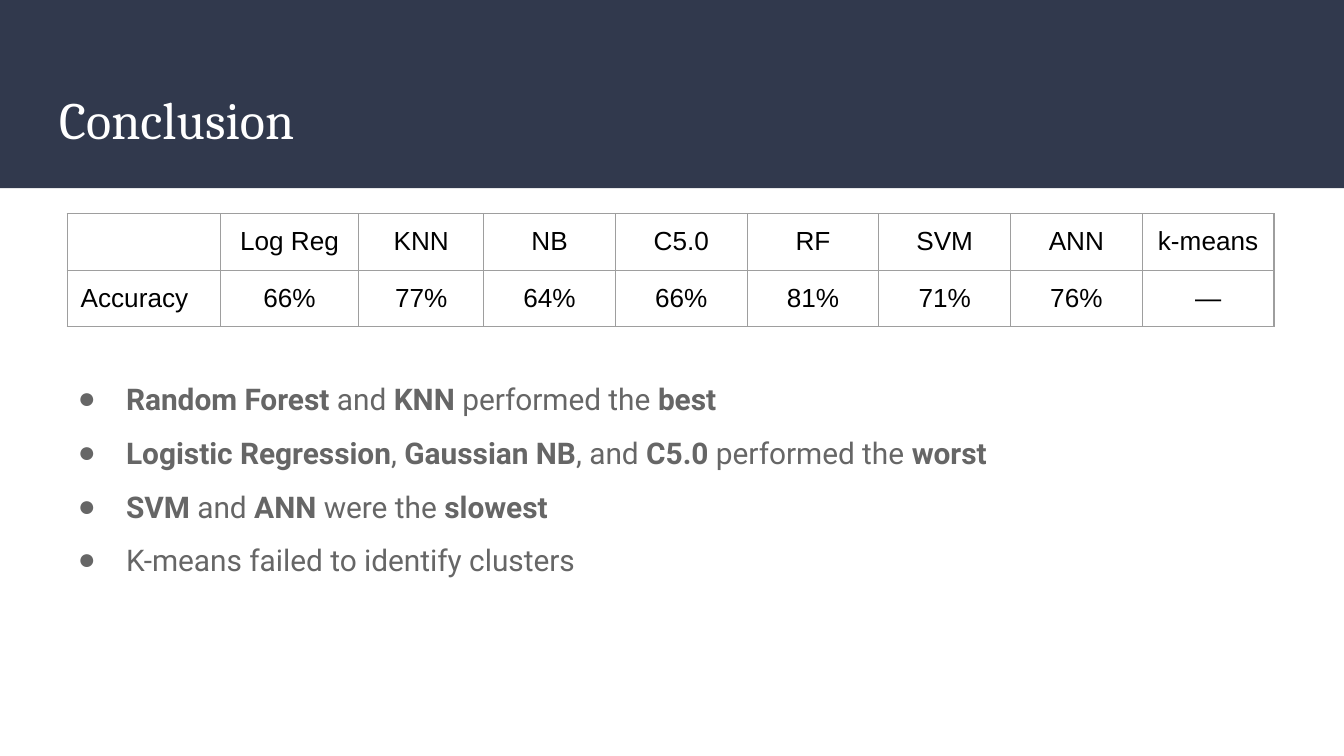
import pptx
import pptx.util
import pptx.dml.color
import pptx.enum.shapes
import pptx.enum.text
import pptx.oxml
import pptx.oxml.ns
from dataclasses import dataclass

Inches = pptx.util.Inches
Pt = pptx.util.Pt
PP_ALIGN = pptx.enum.text.PP_ALIGN

COLORS = {
    "band": "31394D",
    "title": "FFFFFF",
    "body": "666666",
    "table": "000000",
    "border": "9E9E9E",
}


@dataclass
class Result:
    method: str
    accuracy: str
    width: float = 0.98


RESULTS = [
    Result("", "Accuracy", 1.14),
    Result("Log Reg", "66%", 1.03),
    Result("KNN", "77%", 0.93),
    Result("NB", "64%"),
    Result("C5.0", "66%"),
    Result("RF", "81%"),
    Result("SVM", "71%"),
    Result("ANN", "76%"),
    Result("k-means", "—"),
]

FINDINGS = [
    "*Random Forest* and *KNN *performed the *best*",
    "*Logistic Regression*, *Gaussian NB*, and *C5.0* performed the *worst*",
    "*SVM* and *ANN* were the *slowest*",
    "K-means failed to identify clusters",
]


def rgb(name: str) -> pptx.dml.color.RGBColor:
    return pptx.dml.color.RGBColor.from_string(COLORS[name])


def write(p, text: str, *, size: float, font: str, color: str,
          align=PP_ALIGN.LEFT, spacing: float = 1.0) -> None:
    """Text between asterisks is bold."""
    p.alignment = align
    p.line_spacing = spacing
    p.space_before = p.space_after = Pt(0)
    for i, part in enumerate(text.split("*")):
        if part:
            r = p.add_run()
            r.text = part
            r.font.size = Pt(size)
            r.font.name = font
            r.font.bold = i % 2 == 1
            r.font.color.rgb = rgb(color)


def set_frame(tf) -> None:
    tf.word_wrap = True
    tf.auto_size = pptx.enum.text.MSO_AUTO_SIZE.NONE
    tf.vertical_anchor = pptx.enum.text.MSO_ANCHOR.TOP
    tf.margin_left = tf.margin_right = Inches(0.1)
    tf.margin_top = tf.margin_bottom = Inches(0.1)


def add_bullet(p) -> None:
    pPr = p._p.get_or_add_pPr()
    pPr.set("marL", str(Inches(0.5)))
    pPr.set("indent", str(Inches(-0.36)))
    ns = pptx.oxml.ns.nsdecls("a")
    for xml in (
        f'<a:buClr {ns}><a:srgbClr val="{COLORS["body"]}"/></a:buClr>',
        f'<a:buFont {ns} typeface="Arial"/>',
        f'<a:buChar {ns} char="●"/>',
    ):
        pPr.append(pptx.oxml.parse_xml(xml))


def add_borders(cell) -> None:
    tcPr = cell._tc.get_or_add_tcPr()
    ns = pptx.oxml.ns.nsdecls("a")
    for side in ("lnL", "lnR", "lnT", "lnB"):
        tcPr.append(pptx.oxml.parse_xml(
            f'<a:{side} {ns} w="{Pt(0.75)}"><a:solidFill>'
            f'<a:srgbClr val="{COLORS["border"]}"/></a:solidFill></a:{side}>'))


def add_header(s) -> None:
    band = s.shapes.add_shape(pptx.enum.shapes.MSO_SHAPE.RECTANGLE,
                              0, 0, Inches(10), Inches(1.4))
    band.shadow.inherit = False
    band.fill.solid()
    band.fill.fore_color.rgb = rgb("band")
    band.line.fill.background()

    title = s.shapes.title
    title.element.addprevious(band.element)
    title.left, title.top = Inches(0.34), Inches(0.55)
    title.width, title.height = Inches(9.32), Inches(0.68)
    set_frame(title.text_frame)
    write(title.text_frame.paragraphs[0], "Conclusion",
          size=28, font="Cambria", color="title")


def add_findings(s, findings: list[str]) -> None:
    tf = s.shapes.add_textbox(Inches(0.34), Inches(2.6),
                              Inches(9.32), Inches(1.81)).text_frame
    set_frame(tf)
    for i, finding in enumerate(findings):
        p = tf.add_paragraph() if i else tf.paragraphs[0]
        write(p, finding, size=16, font="Roboto", color="body", spacing=1.5)
        add_bullet(p)


def add_results(s, results: list[Result]) -> None:
    width = sum(result.width for result in results)
    table = s.shapes.add_table(2, len(results), Inches(0.5), Inches(1.59),
                               Inches(width), Inches(0.84)).table
    table.first_row = table.horz_banding = False
    for col, result in enumerate(results):
        table.columns[col].width = Inches(result.width)
        for row, text in enumerate((result.method, result.accuracy)):
            cell = table.cell(row, col)
            add_borders(cell)
            cell.fill.background()
            if text:
                cell.margin_left = cell.margin_right = Inches(0.1)
                cell.margin_top = cell.margin_bottom = Inches(0.1)
                write(cell.text_frame.paragraphs[0], text, size=14,
                      font="Arial", color="table",
                      align=PP_ALIGN.CENTER if col else PP_ALIGN.LEFT)


def main() -> None:
    prs = pptx.Presentation()
    prs.slide_width = Inches(10)
    prs.slide_height = prs.slide_width * 9 // 16
    s = prs.slides.add_slide(prs.slide_layouts[5])
    add_header(s)
    add_findings(s, FINDINGS)
    add_results(s, RESULTS)
    prs.save("out.pptx")


if __name__ == "__main__":
    main()
